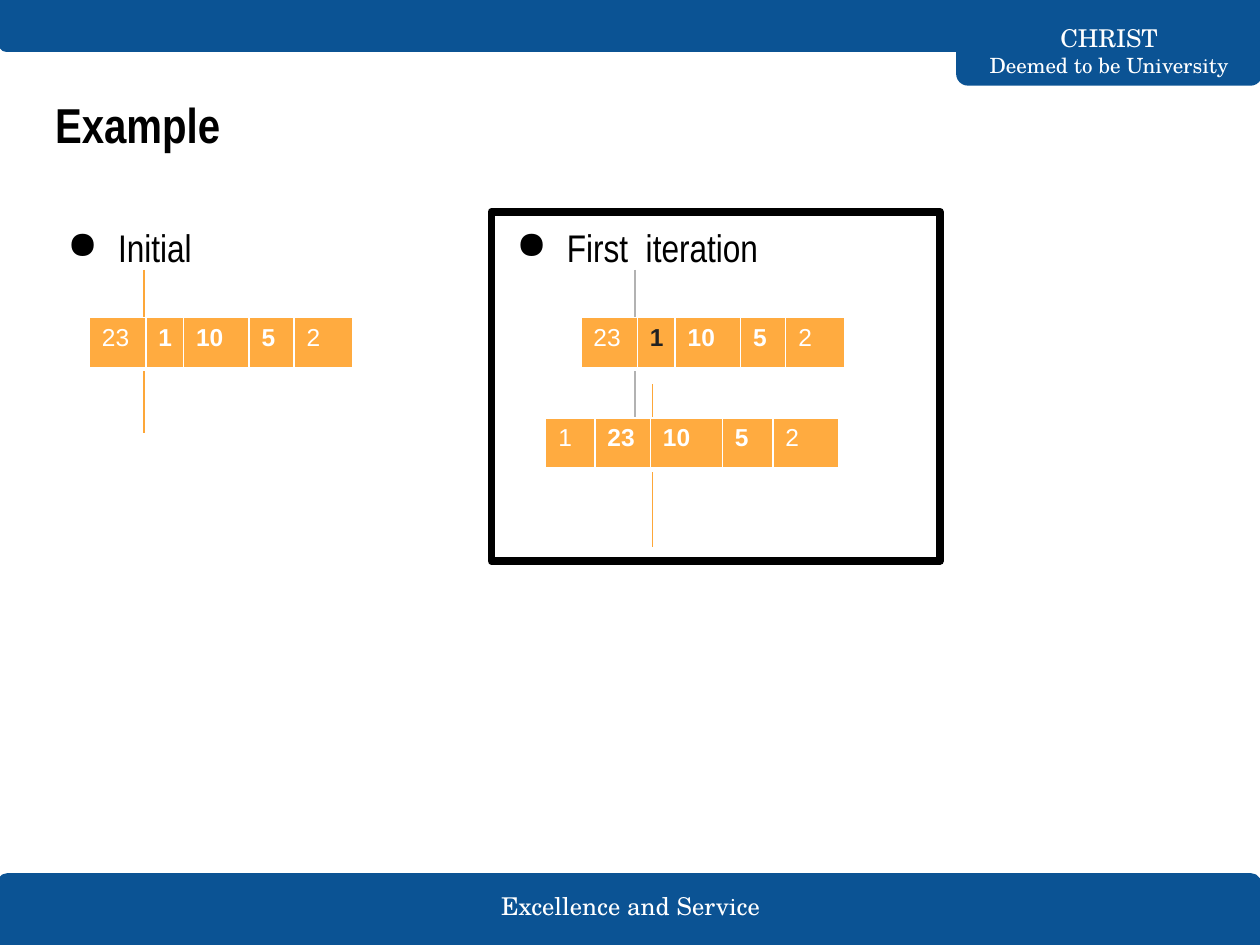
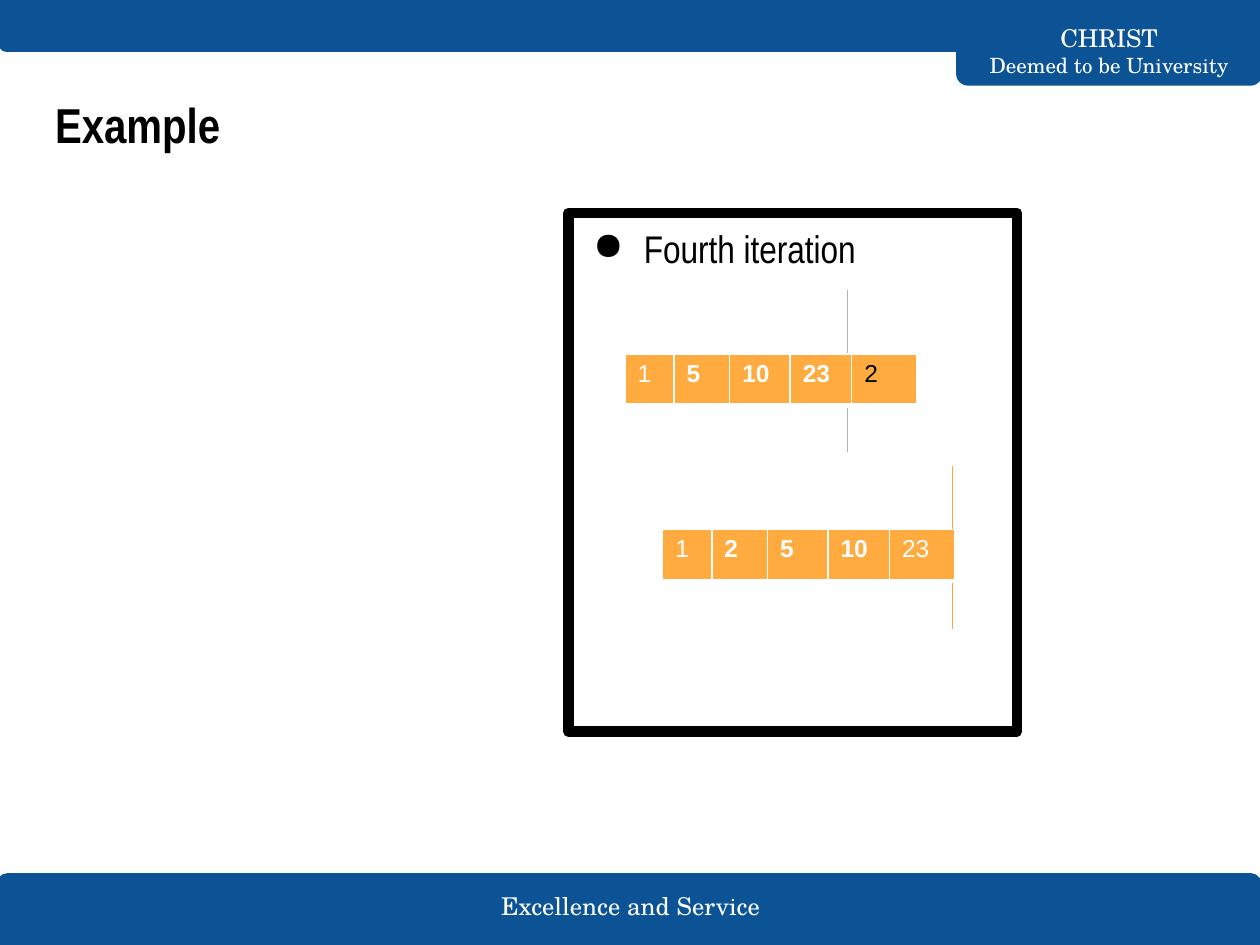
import pptx
import pptx.util
import pptx.dml.color
import pptx.enum.shapes
import pptx.enum.text
import pptx.oxml.ns
import lxml.etree

Cm = pptx.util.Cm
Pt = pptx.util.Pt
RGBColor = pptx.dml.color.RGBColor
MSO_SHAPE = pptx.enum.shapes.MSO_SHAPE
PP_ALIGN = pptx.enum.text.PP_ALIGN
MSO_ANCHOR = pptx.enum.text.MSO_ANCHOR
qn = pptx.oxml.ns.qn

BLUE = RGBColor(0x0B, 0x53, 0x94)
CELL = RGBColor(0xFF, 0xAB, 0x40)
ORANGE = RGBColor(0xFD, 0xA7, 0x39)
GREY = RGBColor(0xB2, 0xB2, 0xB2)
DARK = RGBColor(0x21, 0x21, 0x21)
WHITE = RGBColor(0xFF, 0xFF, 0xFF)
BLACK = RGBColor(0, 0, 0)

SERIF = "TeX Gyre Schola"
NARROW = "Arial Narrow"
SANS = "Arial"

WIDE_FIRST = (1.14, 0.76, 1.32, 0.91, 1.19)
WIDE_THIRD = (0.99, 1.12, 1.45, 1.02, 1.32)
EVEN = (0.99, 1.12, 1.22, 1.24, 1.32)
ROW_HEIGHT = 1.04
DIVIDER_LENGTH = 3.28
BORDERS = (("lnL", 1), ("lnR", 1), ("lnT", 1), ("lnB", 3))


class Deck:
    """Presentation style plus the slide being built."""

    def __init__(self):
        self.prs = pptx.Presentation()
        self.prs.slide_width = Cm(25.4)
        self.prs.slide_height = Cm(19.05)
        self.s = None

    def slide(self, title):
        self.s = self.prs.slides.add_slide(self.prs.slide_layouts[6])
        self.band(-0.03, 17.63, 25.43, 1.42)
        self.label(9.3, 17.86, 6.83, 0.81, [("Excellence and Service", 14)])
        self.band(19.3, 0, 6.12, 1.7, 180)
        self.band(0, 0, 25.43, 1.02, 180)
        self.label(19.3, 0.69, 6.12, 0.64,
                   [("CHRIST", 14), ("Deemed to be University", 12)])
        tf = self.text_box(0.86, 1.65, 23.67, 2.11)
        self.run(tf.paragraphs[0], title, 28, NARROW, BLACK, True)

    def run(self, p, text, size, font, color, bold=False):
        r = p.add_run()
        r.text = text
        r.font.size = Pt(size)
        r.font.name = font
        r.font.bold = bold
        r.font.color.rgb = color

    def set_frame(self, tf, anchor=MSO_ANCHOR.TOP):
        tf.word_wrap = True
        tf.vertical_anchor = anchor
        tf.margin_left = tf.margin_right = Cm(0.25)
        tf.margin_top = tf.margin_bottom = Cm(0.25)

    def text_box(self, x, y, w, h, anchor=MSO_ANCHOR.TOP):
        sp = self.s.shapes.add_textbox(Cm(x), Cm(y), Cm(w), Cm(h))
        self.set_frame(sp.text_frame, anchor)
        return sp.text_frame

    def band(self, x, y, w, h, rotation=0):
        sp = self.s.shapes.add_shape(MSO_SHAPE.ROUND_2_SAME_RECTANGLE,
                                     Cm(x), Cm(y), Cm(w), Cm(h))
        sp.adjustments[0] = 0.125
        sp.adjustments[1] = 0
        sp.rotation = rotation
        sp.shadow.inherit = False
        sp.fill.solid()
        sp.fill.fore_color.rgb = BLUE
        sp.line.color.rgb = BLUE
        sp.line.width = Pt(1.5)

    def label(self, x, y, w, h, lines):
        p = self.text_box(x, y, w, h, MSO_ANCHOR.MIDDLE).paragraphs[0]
        p.alignment = PP_ALIGN.CENTER
        for i, (text, size) in enumerate(lines):
            if i:
                p.add_line_break()
            self.run(p, text, size, SERIF, WHITE)

    def bullet(self, tf, text):
        p = tf.paragraphs[0]
        p.alignment = PP_ALIGN.LEFT
        pPr = p._p.get_or_add_pPr()
        pPr.set("marL", str(Cm(1.27)))
        pPr.set("indent", str(-Cm(1.02)))
        color = lxml.etree.SubElement(pPr, qn("a:buClr"))
        lxml.etree.SubElement(color, qn("a:srgbClr"), val=str(BLACK))
        lxml.etree.SubElement(pPr, qn("a:buChar"), char="●")
        self.run(p, text, 22, NARROW, BLACK)

    def step(self, x, y, w, h, text):
        self.bullet(self.text_box(x, y, w, h), text)

    def framed_step(self, x, y, w, h, text, weight):
        sp = self.s.shapes.add_shape(MSO_SHAPE.RECTANGLE,
                                     Cm(x), Cm(y), Cm(w), Cm(h))
        sp.shadow.inherit = False
        sp.fill.background()
        sp.line.color.rgb = BLACK
        sp.line.width = Pt(weight)
        self.set_frame(sp.text_frame)
        self.bullet(sp.text_frame, text)

    def divider(self, x, y, color=ORANGE):
        c = self.s.shapes.add_connector(
            pptx.enum.shapes.MSO_CONNECTOR.STRAIGHT,
            Cm(x), Cm(y), Cm(x), Cm(y + DIVIDER_LENGTH))
        c.line.color.rgb = color
        c.line.width = Pt(0.75)
        lxml.etree.SubElement(c._element.spPr, qn("a:effectLst"))

    def array(self, x, y, widths, values, marked=None, mark_color=DARK):
        table = self.s.shapes.add_table(
            1, len(values), Cm(x), Cm(y), Cm(sum(widths)),
            Cm(ROW_HEIGHT)).table
        table.first_row = table.horz_banding = False
        table.rows[0].height = Cm(ROW_HEIGHT)
        for i, (width, value) in enumerate(zip(widths, values)):
            table.columns[i].width = Cm(width)
            cell = table.cell(0, i)
            self.cell_borders(cell)
            cell.fill.solid()
            cell.fill.fore_color.rgb = CELL
            color = mark_color if i == marked else WHITE
            inner = 0 < i < len(values) - 1
            self.run(cell.text_frame.paragraphs[0], str(value), 14, SANS,
                     color, inner)

    def cell_borders(self, cell):
        tcPr = cell._tc.get_or_add_tcPr()
        for side, weight in BORDERS:
            ln = lxml.etree.SubElement(tcPr, qn("a:" + side),
                                       w=str(Pt(weight)))
            fill = lxml.etree.SubElement(ln, qn("a:solidFill"))
            lxml.etree.SubElement(fill, qn("a:srgbClr"), val=str(WHITE))


def main():
    deck = Deck()

    deck.slide("Example")
    deck.step(0.86, 4.27, 6.99, 4.7, "Initial")
    deck.divider(2.9, 5.44)
    deck.array(1.8, 6.4, WIDE_FIRST, (23, 1, 10, 5, 2))
    deck.framed_step(9.91, 4.27, 9.04, 7.04, "First  iteration", 4.5)
    deck.divider(12.8, 5.44, GREY)
    deck.array(11.71, 6.4, WIDE_FIRST, (23, 1, 10, 5, 2), marked=1)
    deck.divider(13.16, 7.75)
    deck.array(11, 8.43, WIDE_THIRD, (1, 23, 10, 5, 2))

    deck.slide("Example")
    deck.framed_step(11.46, 4.29, 9.04, 10.46, "Fourth iteration", 6)
    deck.divider(17.09, 5.84, GREY)
    deck.array(12.6, 7.14, EVEN, (1, 5, 10, 23, 2), marked=4,
               mark_color=BLACK)
    deck.divider(19.2, 9.4)
    deck.array(13.36, 10.67, EVEN, (1, 2, 5, 10, 23))

    deck.prs.save("out.pptx")


if __name__ == "__main__":
    main()
